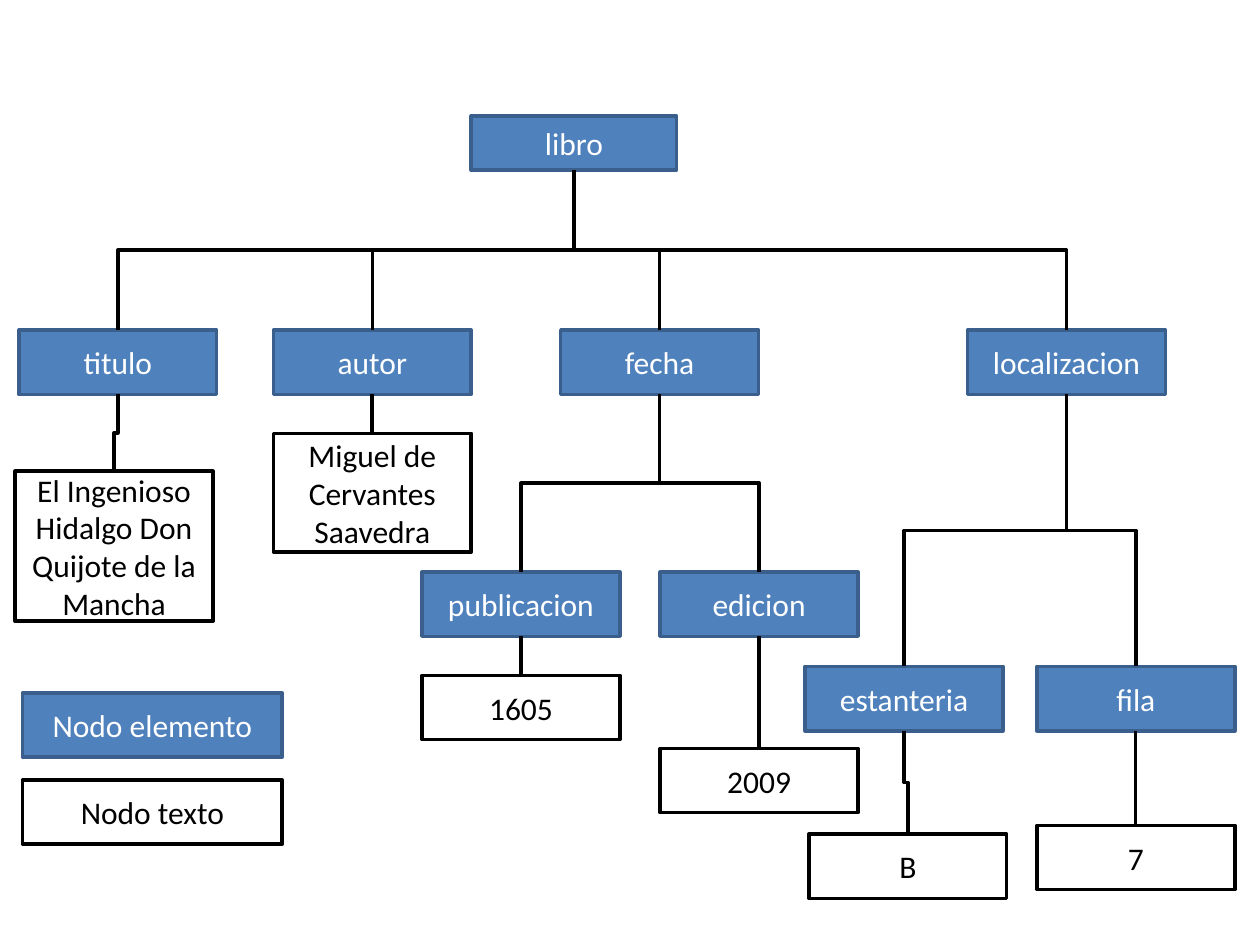
from lxml import etree
from pptx import Presentation, util as u
from pptx.dml.color import RGBColor
from pptx.enum import shapes, text
from pptx.oxml.ns import qn

prs = Presentation()
prs.slide_width, prs.slide_height = u.Inches(10), u.Inches(7.5)
s = prs.slides.add_slide(prs.slide_layouts[6])


def paint(fmt, color):
    """Give a fill or a font a hex colour."""
    if hasattr(fmt, "solid"):
        fmt.solid()
        fmt.fore_color.rgb = RGBColor.from_string(color)
    else:
        fmt.color.rgb = RGBColor.from_string(color)


# Node styles: fill, line, text
STYLES = {
    "element": ("4F81BD", "3A5F8C", "FFFFFF"),
    "text": ("FFFFFF", "000000", "000000"),
}
FONT = {"name": "Calibri", "size": u.Pt(18)}
W, H = 1.57, 0.51

# Nodes: label, style, parent, left, top, width, height
nodes = [
    ("libro", "element", None, 3.74, 0.92, 1.63, 0.43),
    ("titulo", "element", "libro", 0.15, 2.62, W, H),
    ("autor", "element", "libro", 2.17, 2.62, W, H),
    ("fecha", "element", "libro", 4.45, 2.62, W, H),
    ("localizacion", "element", "libro", 7.68, 2.62, W, H),
    ("publicacion", "element", "fecha", 3.35, 4.54, W, H),
    ("edicion", "element", "fecha", 5.24, 4.54, W, H),
    ("estanteria", "element", "localizacion", 6.39, 5.29, W, H),
    ("fila", "element", "localizacion", 8.23, 5.29, W, H),
    ("El Ingenioso Hidalgo Don Quijote de la Mancha", "text", "titulo",
     0.12, 3.74, W, 1.19),
    ("Miguel de Cervantes Saavedra", "text", "autor", 2.17, 3.44, W, 0.94),
    ("1605", "text", "publicacion", 3.35, 5.36, W, H),
    ("2009", "text", "edicion", 5.24, 5.94, W, H),
    ("B", "text", "estanteria", 6.42, 6.62, W, H),
    ("7", "text", "fila", 8.23, 6.55, W, H),
    # Legend
    ("Nodo elemento", "element", None, 0.18, 5.5, 2.06, H),
    ("Nodo texto", "text", None, 0.18, 6.19, 2.06, H),
]

# Boxes
boxes = {}
for label, style, parent, *box in nodes:
    fill, line, ink = STYLES[style]
    sp = s.shapes.add_shape(shapes.MSO_SHAPE.FLOWCHART_PROCESS,
                            *[u.Inches(v) for v in box])
    sp.shadow.inherit = False
    paint(sp.fill, fill)
    paint(sp.line.fill, line)
    sp.line.width = u.Pt(2)
    tf = sp.text_frame
    tf.word_wrap = True
    tf.vertical_anchor = text.MSO_ANCHOR.MIDDLE
    p = tf.paragraphs[0]
    p.alignment = text.PP_ALIGN.CENTER
    r = p.add_run()
    r.text = label
    for key, value in FONT.items():
        setattr(r.font, key, value)
    paint(r.font, ink)
    boxes[label] = sp

# Elbow connectors from the bottom of each parent to the top of its child
BOTTOM, TOP = 2, 0
for label, style, parent, *box in nodes:
    if parent is None:
        continue
    a, b = boxes[parent], boxes[label]
    x1, y1 = a.left + a.width // 2, a.top + a.height
    x2, y2 = b.left + b.width // 2, b.top
    c = s.shapes.add_connector(shapes.MSO_CONNECTOR.ELBOW, x1, y1, x2, y2)
    c.begin_connect(a, BOTTOM)
    c.end_connect(b, TOP)

    # A vertical elbow is a horizontal one turned about its centre
    c.width, c.height = y2 - y1, abs(x2 - x1)
    c.left = (x1 + x2 - c.width) // 2
    c.top = (y1 + y2 - c.height) // 2
    rightward = x2 >= x1
    xfrm = c._element.spPr.xfrm
    xfrm.rot = 270 if rightward else 90
    xfrm.flipH = rightward

    paint(c.line.fill, "000000")
    c.line.width = u.Pt(2)
    etree.SubElement(c._element.spPr, qn("a:effectLst"))

prs.save("out.pptx")
